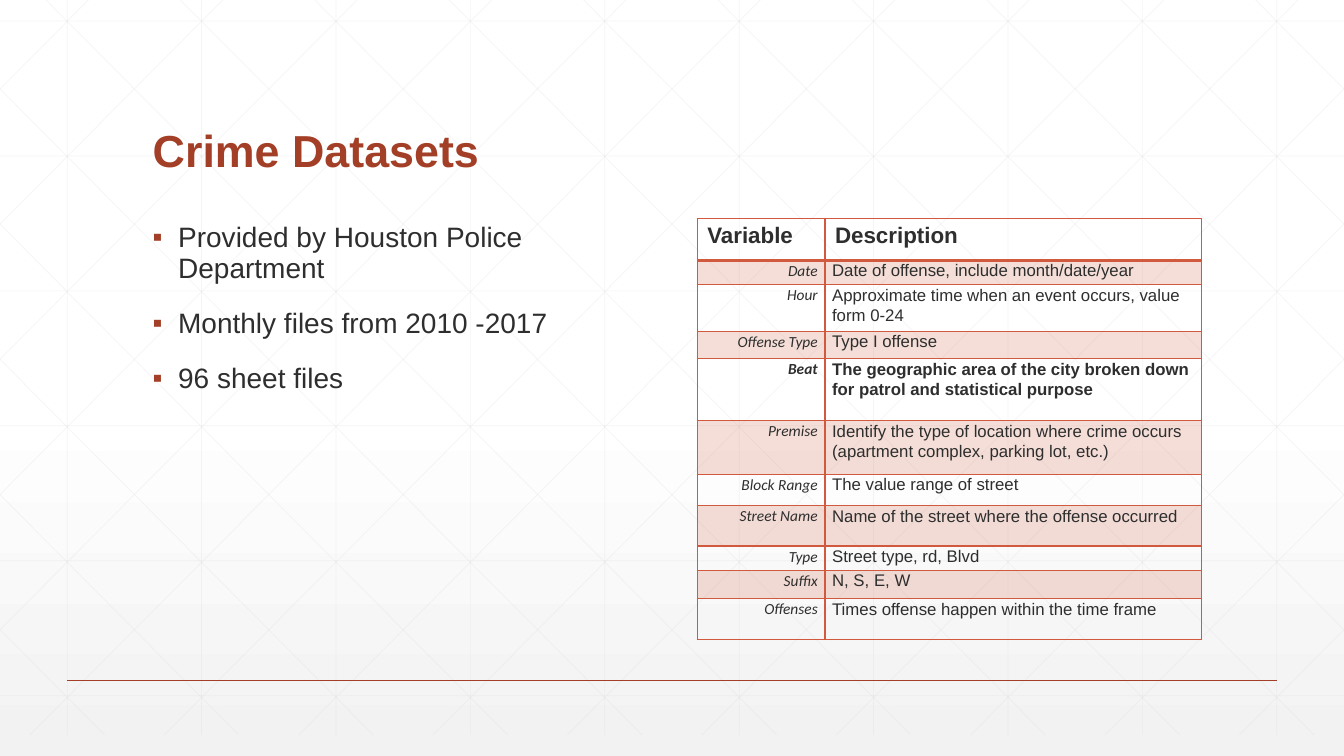
from lxml import etree
from pptx import Presentation
from pptx.dml import color as dml
from pptx.enum import shapes, text
from pptx.oxml import ns, parse_xml
from pptx.util import Cm, Pt

RUST, CORAL, INK = "A43F27", "D15A3E", "2D2E2D"
WIDE, HIGH = 33.87, 19.05


def paint(color, tone, alpha=None):
    color.rgb = dml.RGBColor.from_string(tone)
    if alpha:
        node = etree.SubElement(color._color._xClr, ns.qn("a:alpha"))
        node.set("val", str(alpha * 1000))


def put(para, words, size=12, font="Arial", tone=INK, bold=False,
        slant=False, align=None, lead=None, gap=0):
    para.alignment = align
    para.line_spacing = lead
    para.space_before = Pt(gap)
    run = para.add_run()
    run.text = words
    run.font.size = Pt(size)
    run.font.name = font
    run.font.bold = bold
    run.font.italic = slant
    run.font.fill.solid()
    paint(run.font.fill.fore_color, tone)


deck = Presentation()
deck.slide_width, deck.slide_height = Cm(WIDE), Cm(HIGH)
slide = deck.slides.add_slide(deck.slide_layouts[6])

# Background: white fading to light grey at the foot
back = slide.background.fill
back.gradient()
back.gradient_angle = 270
for stop, (spot, tone) in zip(back.gradient_stops, [(0.53, "FFFFFF"), (1, "F2F2F2")]):
    stop.position = spot
    paint(stop.color, tone)

# Faint grid: verticals, horizontals, and diagonals in mirrored pairs
step, foot, slope = WIDE / 10, 18.52, 1.006
grid = [(step * (i + 0.5), 0, step * (i + 0.5), foot) for i in range(10)]
grid += [(0, 0.53 + 3.4 * i, WIDE, 0.53 + 3.4 * i) for i in range(6)]
for i in range(-5, 10):
    top = 1.16 + step * i
    x1, x2 = max(top, 0), min(top + foot / slope, WIDE)
    y1, y2 = (x1 - top) * slope, (x2 - top) * slope
    grid += [(x1, y1, x2, y2), (WIDE - x1, y1, WIDE - x2, y2)]

# Draw the grid and the rule near the foot
lines = [(ends, "D9D9D9", 0.5, 25) for ends in grid]
lines.append(((1.69, 17.15, 32.18, 17.15), RUST, 1, None))
for ends, tone, weight, alpha in lines:
    line = slide.shapes.add_connector(
        shapes.MSO_CONNECTOR.STRAIGHT, *[Cm(n) for n in ends])
    paint(line.line.color, tone, alpha)
    line.line.width = Pt(weight)
    etree.SubElement(line._element.spPr, ns.qn("a:effectLst"))

# Title
title = slide.shapes.add_textbox(Cm(3.6), Cm(1.4), Cm(26.67), Cm(3.18)).text_frame
title.word_wrap = True
title.vertical_anchor = text.MSO_ANCHOR.BOTTOM
put(title.paragraphs[0], "Crime Datasets", size=32, tone=RUST, bold=True, lead=0.9)

# Bullet list
body = slide.shapes.add_textbox(Cm(3.6), Cm(5.51), Cm(12.7), Cm(10.59)).text_frame
body.word_wrap = True
points = ["Provided by Houston Police Department",
          "Monthly files from 2010 -2017",
          "96 sheet files"]
for i, point in enumerate(points):
    para = body.add_paragraph() if i else body.paragraphs[0]
    props = para._p.get_or_add_pPr()
    props.set("marL", str(Cm(0.64)))
    props.set("indent", str(Cm(-0.64)))
    tint = etree.SubElement(props, ns.qn("a:buClr"))
    etree.SubElement(tint, ns.qn("a:srgbClr")).set("val", RUST)
    etree.SubElement(props, ns.qn("a:buFont")).set("typeface", "Arial")
    etree.SubElement(props, ns.qn("a:buChar")).set("char", "▪")
    put(para, point, size=20, lead=0.9, gap=18 if i else 0)

# Table of variables: name, description, row height
rows = [
    ("Variable", "Description", 1.05),
    ("Date", "Date of offense, include month/date/year", 0.61),
    ("Hour", "Approximate time when an event occurs, value form 0-24", 1.18),
    ("Offense Type", "Type I offense", 0.69),
    ("Beat", "The geographic area of the city broken down for patrol "
     "and statistical purpose", 1.56),
    ("Premise", "Identify the type of location where crime occurs "
     "(apartment complex, parking lot, etc.)", 1.35),
    ("Block Range", "The value range of street", 0.79),
    ("Street Name", "Name of the street where the offense occurred", 1.02),
    ("Type", "Street type, rd, Blvd", 0.61),
    ("Suffix", "N, S, E, W", 0.72),
    ("Offenses", "Times offense happen within the time frame", 1.02),
]
table = slide.shapes.add_table(
    len(rows), 2, Cm(17.57), Cm(5.51), Cm(12.7), Cm(10.6)).table
table.first_row = table.horz_banding = False
table.columns[0].width, table.columns[1].width = Cm(3.22), Cm(9.48)
for r, (name, about, tall) in enumerate(rows):
    table.rows[r].height = Cm(tall)
    for c, words in enumerate((name, about)):
        cell = table.cell(r, c)
        para = cell.text_frame.paragraphs[0]
        if r == 0:
            put(para, words, size=16, bold=True)
        else:
            cell.margin_left = cell.margin_right = Cm(0.18)
            cell.margin_top = cell.margin_bottom = 0
            look = {} if c else dict(
                size=11, font="Calibri", slant=True, align=text.PP_ALIGN.RIGHT)
            put(para, words, bold=name == "Beat", lead=1.07, **look)
        if r % 2:
            cell.fill.solid()
            paint(cell.fill.fore_color, CORAL, 20)
        else:
            cell.fill.background()
        # Cell borders, heavier around the header's lower edge
        props = cell._tc.get_or_add_tcPr()
        for i, side in enumerate("LRTB"):
            heavy = (r, side) in ((0, "B"), (1, "T"))
            props.insert(i, parse_xml(
                f'<a:ln{side} {ns.nsdecls("a")} w="{Pt(2 if heavy else 1)}">'
                f'<a:solidFill><a:srgbClr val="{CORAL}"/></a:solidFill></a:ln{side}>'))

deck.save("out.pptx")
